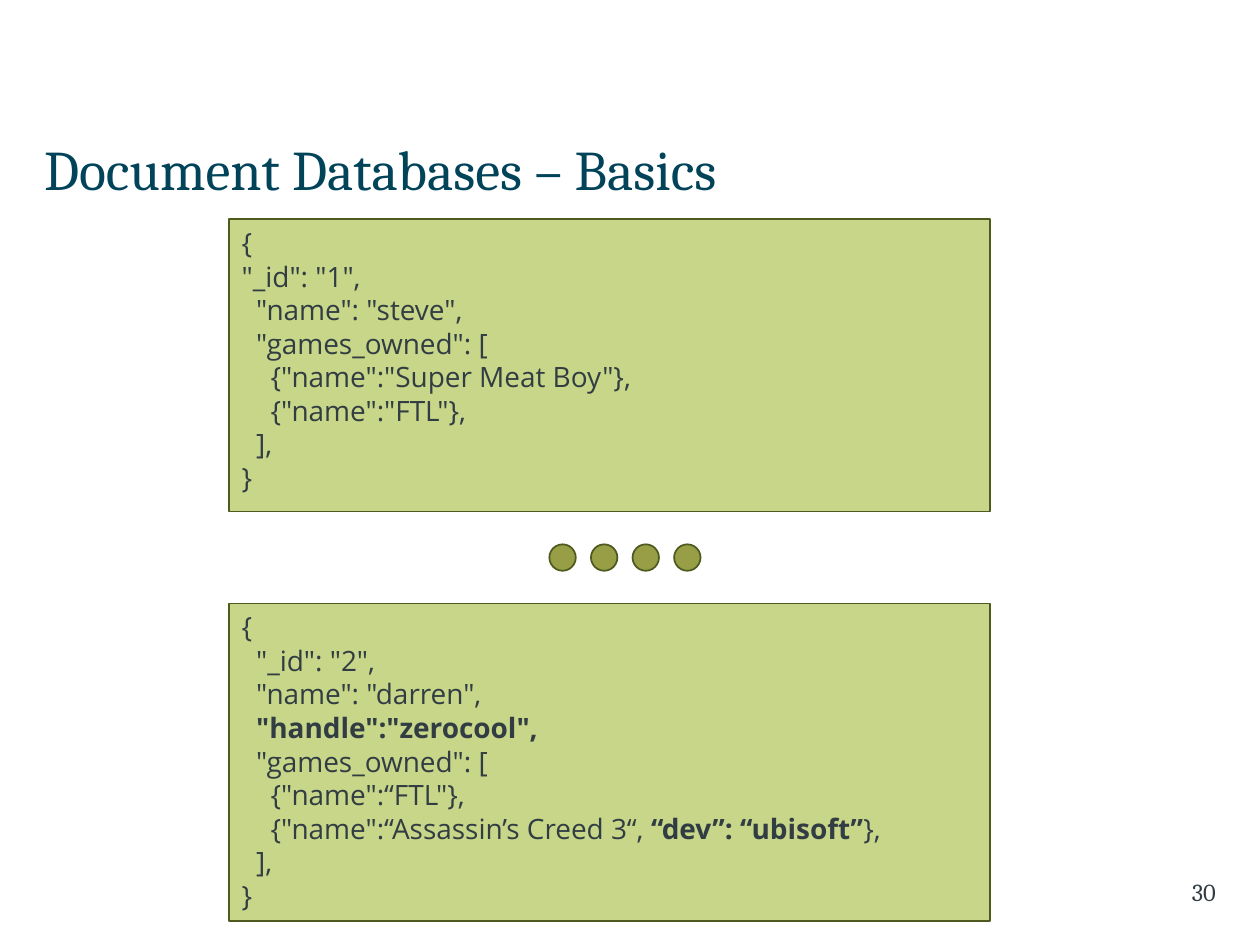
from dataclasses import dataclass

from pptx import Presentation
from pptx.dml.color import RGBColor
from pptx.enum.shapes import MSO_SHAPE
from pptx.enum.text import MSO_ANCHOR, PP_ALIGN
from pptx.util import Inches, Pt

RECT, OVAL = MSO_SHAPE.RECTANGLE, MSO_SHAPE.OVAL
TOP, MIDDLE = MSO_ANCHOR.TOP, MSO_ANCHOR.MIDDLE
LEFT, RIGHT = PP_ALIGN.LEFT, PP_ALIGN.RIGHT


@dataclass(frozen=True)
class Theme:
    title: str = "014359"
    text: str = "323D43"
    panel: str = "C7D688"
    dot: str = "979E45"
    outline: str = "4F5A20"
    heading_font: str = "Cambria"
    body_font: str = "Open Sans"
    title_size: int = 32
    code_size: int = 16
    number_size: int = 14


# Parts between ** marks are bold
STEVE = """{
"_id": "1",
  "name": "steve",
  "games_owned": [
    {"name":"Super Meat Boy"},
    {"name":"FTL"},
  ],
}"""

DARREN = """{
  "_id": "2",
  "name": "darren",
  **"handle":"zerocool",**
  "games_owned": [
    {"name":“FTL"},
    {"name":“Assassin’s Creed 3“, **“dev”: “ubisoft”**},
  ],
}"""


def write(tf, text, *, font, size, color, insets, anchor=TOP, align=LEFT):
    """Fill a text frame, one paragraph per line of text."""
    tf.word_wrap = True
    tf.vertical_anchor = anchor
    tf.margin_left, tf.margin_top, tf.margin_right, tf.margin_bottom = map(Inches, insets)
    for i, line in enumerate(text.split("\n")):
        p = tf.paragraphs[0] if i == 0 else tf.add_paragraph()
        p.alignment = align
        for j, part in enumerate(line.split("**")):
            if part:
                r = p.add_run()
                r.text = part
                r.font.name = font
                r.font.size = Pt(size)
                r.font.bold = j % 2 == 1
                r.font.color.rgb = RGBColor.from_string(color)


class SlideBuilder:
    def __init__(self, slide, theme):
        self.s = slide
        self.theme = theme

    def label(self, box, text, **style):
        sp = self.s.shapes.add_textbox(*map(Inches, box))
        write(sp.text_frame, text, font=self.theme.heading_font, anchor=MIDDLE, **style)

    def shape(self, kind, box, fill):
        sp = self.s.shapes.add_shape(kind, *map(Inches, box))
        sp.shadow.inherit = False
        sp.fill.solid()
        sp.fill.fore_color.rgb = RGBColor.from_string(fill)
        sp.line.color.rgb = RGBColor.from_string(self.theme.outline)
        sp.line.width = Pt(1)
        return sp

    def code_panel(self, top, height, code):
        t = self.theme
        sp = self.shape(RECT, (1.82, top, 6.04, height), t.panel)
        write(sp.text_frame, code, font=t.body_font, size=t.code_size,
              color=t.text, insets=(0.1, 0.05, 0.1, 0))

    def dots(self, left, top, size, step, count):
        for i in range(count):
            self.shape(OVAL, (left + i * step, top, size, size), self.theme.dot)


def main():
    prs = Presentation()
    prs.slide_width, prs.slide_height = Inches(10), Inches(7.5)
    theme = Theme()
    builder = SlideBuilder(prs.slides.add_slide(prs.slide_layouts[6]), theme)

    # Title
    builder.label((0.35, 0.98, 9.29, 0.71), "Document Databases – Basics",
                  size=theme.title_size, color=theme.title, insets=(0, 0.05, 0.1, 0.05))

    # Two documents with an ellipsis between them
    builder.code_panel(1.74, 2.32, STEVE)
    builder.dots(left=4.36, top=4.32, size=0.21, step=0.33, count=4)
    builder.code_panel(4.79, 2.52, DARREN)

    # Slide number
    builder.label((7.73, 6.91, 1.92, 0.34), "30", size=theme.number_size,
                  color=theme.text, insets=(0.1, 0.05, 0, 0.05), align=RIGHT)

    prs.save("out.pptx")


if __name__ == "__main__":
    main()
